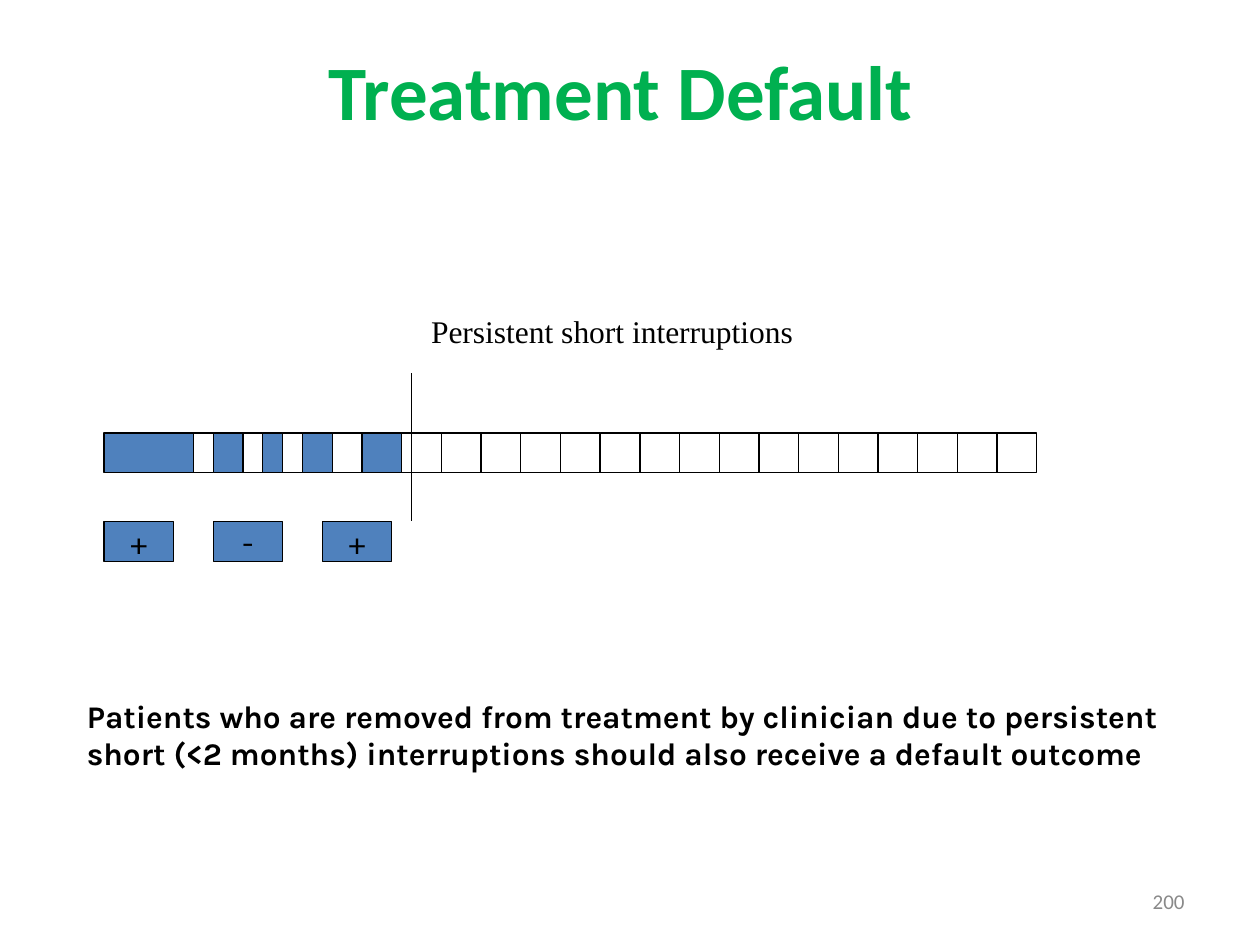
from dataclasses import dataclass
from lxml import etree
from pptx import Presentation
from pptx.dml.color import RGBColor
from pptx.enum import shapes, text
from pptx.oxml import ns
from pptx.util import Pt


@dataclass
class Theme:
    green: str = "00B050"
    blue: str = "4F81BD"
    grey: str = "898989"
    black: str = "000000"
    head: str = "Calibri"
    sans: str = "Karla"
    serif: str = "Times New Roman"
    big: int = 44
    mid: int = 18
    small: int = 12
    rule: float = 0.75


def rgb(code):
    return RGBColor.from_string(code)


def write(frame, words, font, size, color, bold=False, align=text.PP_ALIGN.LEFT,
          anchor=text.MSO_ANCHOR.TOP, wrap=True, before=0):
    frame.word_wrap = wrap
    frame.vertical_anchor = anchor
    para = frame.paragraphs[0]
    para.alignment = align
    para.space_before = Pt(before)
    run = para.add_run()
    run.text = words
    run.font.name = font
    run.font.size = Pt(size)
    run.font.bold = bold
    run.font.color.rgb = rgb(color)


class Deck:
    def __init__(self, theme, wide, high):
        self.theme = theme
        self.file = Presentation()
        self.file.slide_width = Pt(wide)
        self.file.slide_height = Pt(high)
        self.slide = self.file.slides.add_slide(self.file.slide_layouts[5])

    def title(self, words, x, y, w, h):
        t = self.theme
        shape = self.slide.shapes.title
        shape.left, shape.top, shape.width, shape.height = map(Pt, (x, y, w, h))
        write(shape.text_frame, words, t.head, t.big, t.green, bold=True,
              align=text.PP_ALIGN.CENTER, anchor=text.MSO_ANCHOR.MIDDLE)

    def label(self, words, x, y, w, h, **style):
        box = self.slide.shapes.add_textbox(*map(Pt, (x, y, w, h)))
        write(box.text_frame, words, **style)

    def rect(self, x, y, w, h, fill=None):
        box = self.slide.shapes.add_shape(
            shapes.MSO_SHAPE.RECTANGLE, *map(Pt, (x, y, w, h)))
        box.shadow.inherit = False
        if fill:
            box.fill.solid()
            box.fill.fore_color.rgb = rgb(fill)
        else:
            box.fill.background()
        box.line.color.rgb = rgb(self.theme.black)
        box.line.width = Pt(self.theme.rule)
        return box

    def sign(self, words, x, y, w, h):
        t = self.theme
        box = self.rect(x, y, w, h, t.blue)
        write(box.text_frame, words, t.sans, t.mid, t.black, wrap=False,
              align=text.PP_ALIGN.CENTER, anchor=text.MSO_ANCHOR.MIDDLE)

    def line(self, x, y, end_x, end_y):
        rule = self.slide.shapes.add_connector(
            shapes.MSO_CONNECTOR.STRAIGHT, *map(Pt, (x, y, end_x, end_y)))
        rule.line.color.rgb = rgb(self.theme.black)
        rule.line.width = Pt(self.theme.rule)
        etree.SubElement(rule._element.spPr, ns.qn("a:effectLst"))


def main():
    t = Theme()
    deck = Deck(t, 720, 540)
    deck.title("Treatment Default", 48, 26, 613.5, 50.5)
    deck.label("200", 516, 500.5, 168, 28.75, font=t.head, size=t.small,
               color=t.grey, align=text.PP_ALIGN.RIGHT,
               anchor=text.MSO_ANCHOR.MIDDLE)

    left, unit = 59.5, 5.67
    doses = [9, 3, 2, 3, 4]
    gaps = [2, 2, 2, 3]
    months = 16
    spans = []
    for dose, gap in zip(doses, gaps):
        spans += [(dose, t.blue), (gap, None)]
    spans += [(doses[-1], t.blue)] + [(4, None)] * months
    x = left
    for count, fill in spans:
        deck.rect(x, 247.5, count * unit, 22.7, fill)
        x += count * unit

    deck.line(235.25, 213.25, 235.25, 298)
    for i, mark in enumerate("+-+"):
        deck.sign(mark, left + i * 11 * unit, 298, 7 * unit, 22.7)

    deck.label("Persistent short interruptions", 239.25, 175, 221.5, 29,
               font=t.serif, size=t.mid, color=t.black, wrap=False)
    deck.label("Patients who are removed from treatment by clinician due to "
               "persistent short (<2 months) interruptions should also receive "
               "a default outcome", 42.5, 394.5, 641, 104.5, font=t.sans,
               size=t.mid, color=t.black, bold=True, before=3.6)
    deck.file.save("out.pptx")


if __name__ == "__main__":
    main()
